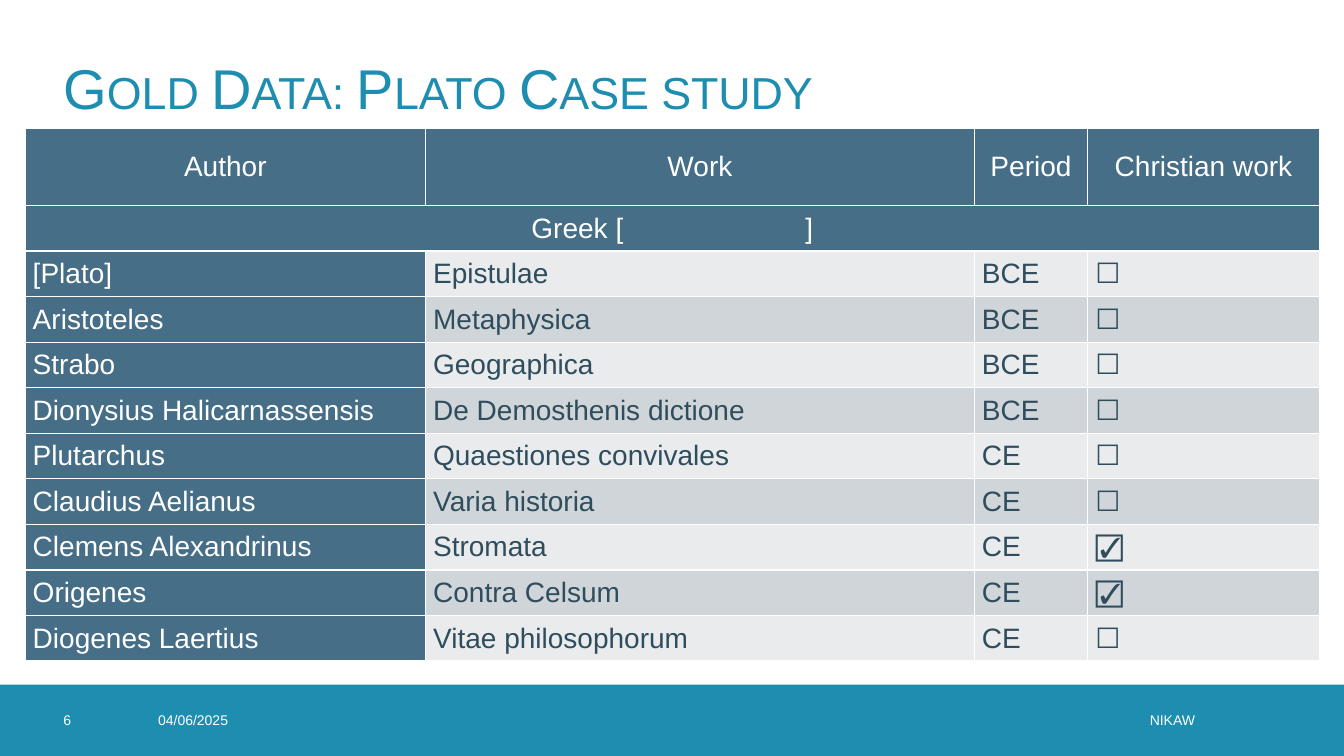
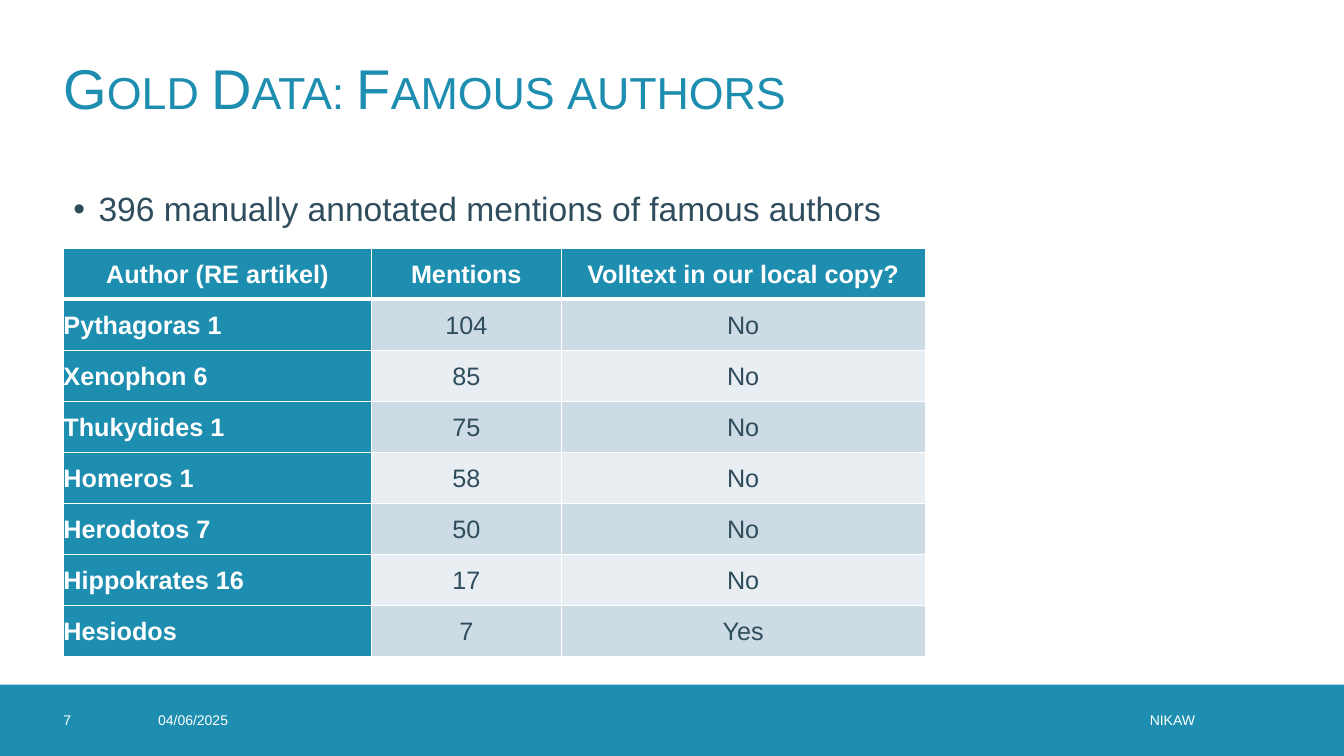
from dataclasses import dataclass

from lxml import etree
from pptx import Presentation
from pptx.dml.color import RGBColor
from pptx.enum.shapes import MSO_SHAPE
from pptx.enum.text import MSO_ANCHOR, PP_ALIGN
from pptx.oxml.ns import qn
from pptx.slide import Slide
from pptx.table import Table, _Cell
from pptx.text.text import TextFrame, _Paragraph
from pptx.util import Pt

LEFT, CENTER, RIGHT, JUSTIFY = PP_ALIGN.LEFT, PP_ALIGN.CENTER, PP_ALIGN.RIGHT, PP_ALIGN.JUSTIFY
TOP, MIDDLE = MSO_ANCHOR.TOP, MSO_ANCHOR.MIDDLE
RECTANGLE = MSO_SHAPE.RECTANGLE

WHITE = RGBColor(0xFF, 0xFF, 0xFF)
TEAL = RGBColor(0x1D, 0x8D, 0xB0)
SLATE = RGBColor(0x46, 0x6E, 0x87)
INK = RGBColor(0x2F, 0x4D, 0x5D)
GREY_LIGHT = RGBColor(0xE9, 0xEB, 0xED)
GREY_DARK = RGBColor(0xCF, 0xD5, 0xD9)
BLUE_LIGHT = RGBColor(0xE8, 0xEE, 0xF2)
BLUE_DARK = RGBColor(0xCD, 0xDB, 0xE4)

FONT = "Arial"
SLIDE_W, SLIDE_H = 960, 540
MARGIN = 45.36
CONTENT_W = 869
BAND_TOP, BAND_H = 489, 51
DATE = "04/06/2025"
FOOTER = "NIKAW"


@dataclass(frozen=True)
class Box:
    left: float
    top: float
    width: float
    height: float


@dataclass(frozen=True)
class Style:
    size: float
    color: RGBColor
    bold: bool = False
    small_caps: bool = False
    spacing: float = 0


@dataclass(frozen=True)
class Grid:
    left: float
    top: float
    columns: tuple[float, ...]
    header_height: float
    row_height: float
    head_fill: RGBColor
    bands: tuple[RGBColor, RGBColor]
    size: float
    strong: bool
    inset: float
    name_align: PP_ALIGN
    value_align: PP_ALIGN
    header_rule: float
    line_spacing: float = 1.0
    space_after: float = 0


FOOTER_STYLE = Style(10, WHITE)
TITLE_STYLE = Style(40, TEAL, small_caps=True)
BODY_STYLE = Style(24, INK)

PLATO_GRID = Grid(
    18, 91.6, (286, 392, 81, 165.5), 55.2, 32.57, SLATE, (GREY_LIGHT, GREY_DARK),
    20, False, 5.4, LEFT, LEFT, 1,
)
FAMOUS_GRID = Grid(
    MARGIN, 177.4, (220, 135.5, 260), 36.45, 36.45, TEAL, (BLUE_DARK, BLUE_LIGHT),
    18, True, 0, JUSTIFY, CENTER, 3, 1.07, 8,
)

PLATO_HEADER = ("Author", "Work", "Period", "Christian work")
BRACKET_GAP = 130
PLATO_WORKS = (
    ("[Plato]", "Epistulae", "BCE", "☐"),
    ("Aristoteles", "Metaphysica", "BCE", "☐"),
    ("Strabo", "Geographica", "BCE", "☐"),
    ("Dionysius Halicarnassensis", "De Demosthenis dictione", "BCE", "☐"),
    ("Plutarchus", "Quaestiones convivales", "CE", "☐"),
    ("Claudius Aelianus", "Varia historia", "CE", "☐"),
    ("Clemens Alexandrinus", "Stromata", "CE", "☑"),
    ("Origenes", "Contra Celsum", "CE", "☑"),
    ("Diogenes Laertius", "Vitae philosophorum", "CE", "☐"),
)
FAMOUS_HEADER = ("Author (RE artikel)", "Mentions", "Volltext in our local copy?")
FAMOUS_AUTHORS = (
    ("Pythagoras 1", "104", "No"),
    ("Xenophon 6", "85", "No"),
    ("Thukydides 1", "75", "No"),
    ("Homeros 1", "58", "No"),
    ("Herodotos 7", "50", "No"),
    ("Hippokrates 16", "17", "No"),
    ("Hesiodos", "7", "Yes"),
)


def add_run(paragraph: _Paragraph, text: str, style: Style) -> None:
    run = paragraph.add_run()
    run.text = text
    run.font.name = FONT
    run.font.size = Pt(style.size)
    run.font.color.rgb = style.color
    run.font.bold = style.bold
    if style.small_caps:
        run.font._element.set("cap", "small")
    if style.spacing:
        run.font._element.set("spc", str(round(style.spacing * 100)))


def add_frame(slide: Slide, box: Box, anchor: MSO_ANCHOR = MIDDLE,
              insets: tuple[float, float, float, float] = (0, 0, 0, 0)) -> TextFrame:
    frame = slide.shapes.add_textbox(
        Pt(box.left), Pt(box.top), Pt(box.width), Pt(box.height)).text_frame
    frame.word_wrap = True
    frame.vertical_anchor = anchor
    frame.margin_left, frame.margin_top, frame.margin_right, frame.margin_bottom = map(Pt, insets)
    return frame


def add_footer_text(slide: Slide, text: str, left: float, width: float,
                    align: PP_ALIGN = LEFT, right_inset: float = 0) -> None:
    box = Box(left, BAND_TOP, width, BAND_H)
    paragraph = add_frame(slide, box, insets=(0, 0, right_inset, 0)).paragraphs[0]
    paragraph.alignment = align
    add_run(paragraph, text, FOOTER_STYLE)


def add_base_slide(deck: Presentation, number: int, title: str) -> Slide:
    slide = deck.slides.add_slide(deck.slide_layouts[6])
    band = slide.shapes.add_shape(RECTANGLE, 0, Pt(BAND_TOP), Pt(SLIDE_W), Pt(BAND_H))
    band.shadow.inherit = False
    band.fill.solid()
    band.fill.fore_color.rgb = TEAL
    band.line.fill.background()
    add_footer_text(slide, DATE, 113, 57)
    add_footer_text(slide, FOOTER, 475, 393, RIGHT, 14.4)
    add_footer_text(slide, str(number), MARGIN, 51)
    heading = add_frame(slide, Box(MARGIN, 16.6, CONTENT_W, 90.7))
    add_run(heading.paragraphs[0], title, TITLE_STYLE)
    return slide


def add_bullet(slide: Slide, box: Box, text: str) -> None:
    paragraph = add_frame(slide, box, TOP, (7.2, 3.6, 7.2, 3.6)).paragraphs[0]
    properties = paragraph._p.get_or_add_pPr()
    properties.set("marL", str(Pt(18)))
    properties.set("indent", str(Pt(-18)))
    etree.SubElement(properties, qn("a:buFont")).set("typeface", FONT)
    etree.SubElement(properties, qn("a:buChar")).set("char", "•")
    add_run(paragraph, text, BODY_STYLE)


def add_borders(cell: _Cell, top: float, bottom: float) -> None:
    properties = cell._tc.get_or_add_tcPr()
    for side, width in (("lnL", 1), ("lnR", 1), ("lnT", top), ("lnB", bottom)):
        line = etree.SubElement(properties, qn(f"a:{side}"), w=str(Pt(width)))
        fill = etree.SubElement(line, qn("a:solidFill"))
        etree.SubElement(fill, qn("a:srgbClr"), val=str(WHITE))


def fill_cell(cell: _Cell, grid: Grid, runs: tuple[tuple[str, Style], ...], color: RGBColor,
              align: PP_ALIGN, top: float = 1, bottom: float = 1) -> None:
    add_borders(cell, top, bottom)
    cell.fill.solid()
    cell.fill.fore_color.rgb = color
    cell.vertical_anchor = MIDDLE
    cell.margin_left = cell.margin_right = Pt(grid.inset)
    cell.margin_top = cell.margin_bottom = 0
    paragraph = cell.text_frame.paragraphs[0]
    paragraph.alignment = align
    paragraph.line_spacing = grid.line_spacing
    paragraph.space_after = Pt(grid.space_after)
    for text, style in runs:
        add_run(paragraph, text, style)


def add_grid(slide: Slide, grid: Grid, header: tuple[str, ...],
             records: tuple[tuple[str, ...], ...], first_record: int = 1) -> Table:
    row_count = first_record + len(records)
    height = grid.header_height + (row_count - 1) * grid.row_height
    table = slide.shapes.add_table(
        row_count, len(header), Pt(grid.left), Pt(grid.top),
        Pt(sum(grid.columns)), Pt(height)).table
    table.horz_banding = False
    for column, width in zip(table.columns, grid.columns):
        column.width = Pt(width)
    for index, row in enumerate(table.rows):
        row.height = Pt(grid.row_height if index else grid.header_height)
    head_style = Style(grid.size, WHITE, bold=grid.strong)
    value_style = Style(grid.size, INK)
    for column, label in enumerate(header):
        fill_cell(table.cell(0, column), grid, ((label, head_style),), grid.head_fill, CENTER,
                  bottom=grid.header_rule)
    for index, record in enumerate(records):
        row = first_record + index
        top = grid.header_rule if row == 1 else 1
        for column, value in enumerate(record):
            if column == 0:
                style, color, align = head_style, grid.head_fill, grid.name_align
            else:
                style, color, align = value_style, grid.bands[index % 2], grid.value_align
            fill_cell(table.cell(row, column), grid, ((value, style),), color, align, top)
    return table


def add_plato_slide(deck: Presentation) -> None:
    slide = add_base_slide(deck, 6, "Gold Data: Plato Case study")
    table = add_grid(slide, PLATO_GRID, PLATO_HEADER, PLATO_WORKS, first_record=2)
    language_cell = table.cell(1, 0)
    language_cell.merge(table.cell(1, len(PLATO_HEADER) - 1))
    plain = Style(PLATO_GRID.size, WHITE)
    spaced = Style(PLATO_GRID.size, WHITE, spacing=BRACKET_GAP)
    runs = (("Greek ", plain), ("[", spaced), ("]", plain))
    fill_cell(language_cell, PLATO_GRID, runs, SLATE, CENTER)


def add_famous_slide(deck: Presentation) -> None:
    slide = add_base_slide(deck, 7, "Gold Data: Famous authors")
    add_bullet(slide, Box(MARGIN, 131, CONTENT_W, 351),
               "396 manually annotated mentions of famous authors")
    add_grid(slide, FAMOUS_GRID, FAMOUS_HEADER, FAMOUS_AUTHORS)


def main() -> None:
    deck = Presentation()
    deck.slide_width, deck.slide_height = Pt(SLIDE_W), Pt(SLIDE_H)
    add_plato_slide(deck)
    add_famous_slide(deck)
    deck.save("out.pptx")


if __name__ == "__main__":
    main()
